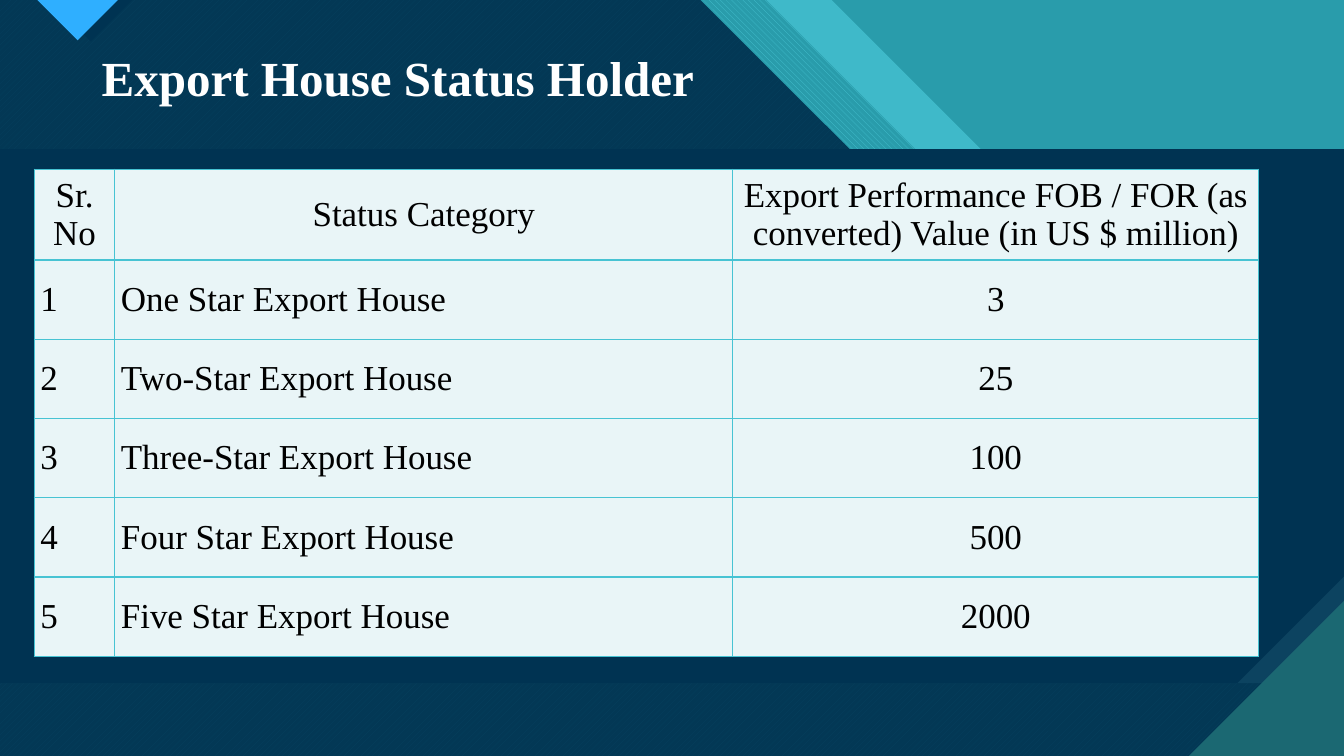
import pptx
import pptx.util
import pptx.dml.color
import pptx.enum.dml
import pptx.enum.shapes
import pptx.enum.text
import pptx.oxml.ns
from lxml import etree

RGBColor = pptx.dml.color.RGBColor
Shape = pptx.enum.shapes.MSO_SHAPE
Pattern = pptx.enum.dml.MSO_PATTERN
Align = pptx.enum.text.PP_ALIGN
Anchor = pptx.enum.text.MSO_ANCHOR

NAVY = RGBColor(0x00, 0x33, 0x52)
NAVY_HATCH = RGBColor(0x07, 0x41, 0x5F)
NAVY_BASE = RGBColor(0x03, 0x38, 0x55)
STEEL = RGBColor(0x0C, 0x43, 0x60)
TEAL = RGBColor(0x29, 0x9C, 0xAB)
AQUA = RGBColor(0x47, 0xC3, 0xD3)
AQUA_SOFT = RGBColor(0x3F, 0xB9, 0xC9)
DEEP_TEAL = RGBColor(0x1B, 0x68, 0x72)
BLUE = RGBColor(0x2F, 0xAF, 0xFF)
CELL = RGBColor(0xE9, 0xF5, 0xF7)
WHITE = RGBColor(0xFF, 0xFF, 0xFF)
BLACK = RGBColor(0x00, 0x00, 0x00)
FONT = "Times New Roman"

SLIDE_W = pptx.util.Inches(13.33)
SLIDE_H = pptx.util.Inches(7.5)
# Every length below is a share of the slide width, in percent.
WIDE = 100
HIGH = 100 * SLIDE_H / SLIDE_W

PANEL = (0, 11.1, WIDE, 39.75)
TABLE_AT = (2.55, 12.6)
COLS = (6, 45.97, 39.15)
HEAD_ROW, BODY_ROW = 6.75, 5.9

ROWS = [
    ("Sr. No", "Status Category",
     "Export Performance FOB / FOR (as converted) Value (in US $ million)"),
    ("1", "One Star Export House", "3"),
    ("2", "Two-Star Export House", "25"),
    ("3", "Three-Star Export House", "100"),
    ("4", "Four Star Export House", "500"),
    ("5", "Five Star Export House", "2000"),
]


def pct(share):
    return pptx.util.Emu(round(SLIDE_W * share / 100))


def paint(sp, color, hatch=None, pattern=None):
    """Fill a shape, solid or hatched, with no line and no shadow."""
    if pattern is None:
        sp.fill.solid()
        sp.fill.fore_color.rgb = color
    else:
        sp.fill.patterned()
        sp.fill.pattern = pattern
        sp.fill.fore_color.rgb = hatch
        sp.fill.back_color.rgb = color
    sp.line.fill.background()
    sp.shadow.inherit = False


def polygon(slide, points, color, **hatching):
    start, *rest = [(pct(x), pct(y)) for x, y in points]
    builder = slide.shapes.build_freeform(*start)
    builder.add_line_segments(rest, close=True)
    paint(builder.convert_to_shape(), color, **hatching)


def diagonal(slide, x, color, **hatching):
    """Cover everything left of a 45-degree edge that starts at x on top."""
    points = [(0, 0), (x, 0), (WIDE, WIDE - x), (WIDE, HIGH), (0, HIGH)]
    polygon(slide, points, color, **hatching)


def pointer(slide, tip_x, depth, color):
    """Triangle that hangs from the top edge."""
    polygon(slide, [(tip_x - depth, 0), (tip_x, depth), (tip_x + depth, 0)], color)


def box(slide, kind, at, color):
    sp = slide.shapes.add_shape(kind, *map(pct, at))
    paint(sp, color)
    return sp


def write(tf, text, size=25, color=BLACK, bold=False, align=Align.LEFT):
    p = tf.paragraphs[0]
    p.alignment = align
    r = p.add_run()
    r.text = text
    r.font.name = FONT
    r.font.size = pptx.util.Pt(size)
    r.font.bold = bold
    r.font.color.rgb = color


def border(cell, color, width=1):
    tc_pr = cell._tc.get_or_add_tcPr()
    for i, side in enumerate(("a:lnL", "a:lnR", "a:lnT", "a:lnB")):
        ln = etree.Element(pptx.oxml.ns.qn(side), w=str(pptx.util.Pt(width)))
        fill = etree.SubElement(ln, pptx.oxml.ns.qn("a:solidFill"))
        etree.SubElement(fill, pptx.oxml.ns.qn("a:srgbClr"), val=str(color))
        tc_pr.insert(i, ln)


def status_table(slide):
    heights = [HEAD_ROW] + [BODY_ROW] * (len(ROWS) - 1)
    size = (sum(COLS), sum(heights))
    table = slide.shapes.add_table(
        len(ROWS), len(COLS), *map(pct, TABLE_AT + size)).table
    table.first_row = table.horz_banding = False
    for column, width in zip(table.columns, COLS):
        column.width = pct(width)
    for i, (row, height) in enumerate(zip(table.rows, heights)):
        row.height = pct(height)
        for j, cell in enumerate(row.cells):
            cell.margin_left = cell.margin_right = pptx.util.Inches(0.06)
            cell.margin_top = cell.margin_bottom = pptx.util.Inches(0.06)
            cell.vertical_anchor = Anchor.MIDDLE
            cell.fill.solid()
            cell.fill.fore_color.rgb = CELL
            border(cell, AQUA)
            centred = i == 0 or j == len(COLS) - 1
            write(cell.text_frame, ROWS[i][j],
                  align=Align.CENTER if centred else Align.LEFT)


def backdrop(slide):
    slide.background.fill.solid()
    slide.background.fill.fore_color.rgb = TEAL
    diagonal(slide, 61.88, AQUA_SOFT)
    diagonal(slide, 57, TEAL, hatch=AQUA, pattern=Pattern.WIDE_DOWNWARD_DIAGONAL)
    diagonal(slide, 52.12, NAVY_BASE, hatch=NAVY_HATCH,
             pattern=Pattern.WIDE_UPWARD_DIAGONAL)
    pointer(slide, 6.75, 3.08, NAVY)
    pointer(slide, 5.78, 3, BLUE)

    box(slide, Shape.RECTANGLE, PANEL, STEEL)
    panel = box(slide, Shape.SNIP_1_RECTANGLE, PANEL, NAVY)
    panel.adjustments[0] = 0.2
    panel._element.spPr.xfrm.set("flipV", "1")

    corner = 11.55
    polygon(slide, [(WIDE - corner, HIGH), (WIDE, HIGH), (WIDE, HIGH - corner)],
            DEEP_TEAL)


def title(slide, text):
    tb = slide.shapes.add_textbox(*map(pct, (6.83, 3.15, 45.97, 5.18)))
    tb.text_frame.word_wrap = False
    write(tb.text_frame, text, size=35, color=WHITE, bold=True)


def main():
    prs = pptx.Presentation()
    prs.slide_width, prs.slide_height = SLIDE_W, SLIDE_H
    slide = prs.slides.add_slide(prs.slide_layouts[6])
    backdrop(slide)
    status_table(slide)
    title(slide, "Export House Status Holder")
    prs.save("out.pptx")


if __name__ == "__main__":
    main()
